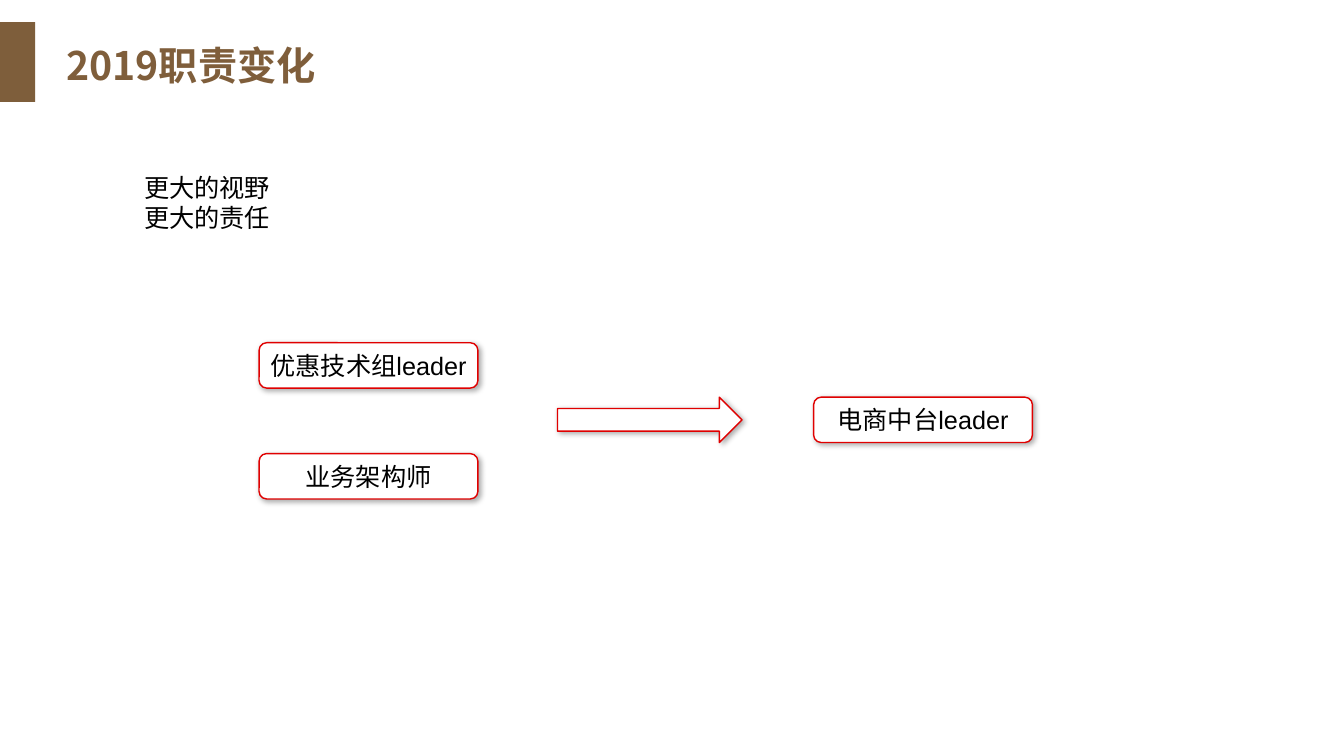
from dataclasses import dataclass

from lxml import etree
from pptx import Presentation
from pptx.dml.color import RGBColor
from pptx.enum.shapes import MSO_SHAPE
from pptx.enum.text import MSO_ANCHOR, MSO_AUTO_SIZE, PP_ALIGN
from pptx.oxml.ns import qn
from pptx.util import Pt

EMU_PER_PX = 9144  # 100 px to the inch
RECTANGLE = MSO_SHAPE.RECTANGLE
ROUNDED = MSO_SHAPE.ROUNDED_RECTANGLE
ARROW = MSO_SHAPE.RIGHT_ARROW
LEFT, CENTER = PP_ALIGN.LEFT, PP_ALIGN.CENTER
TOP, MIDDLE = MSO_ANCHOR.TOP, MSO_ANCHOR.MIDDLE
NO_AUTOFIT = MSO_AUTO_SIZE.NONE

CHINESE_FONT = "Noto Sans CJK SC"
BROWN, TITLE_BROWN = "7E5E3B", "7F5E3B"
RED, WHITE, BLACK = "E00000", "FFFFFF", "000000"
INSET = 5
TITLE_FONT = {"name": CHINESE_FONT, "size": Pt(28), "bold": True}
TEXT_FONT = {"name": "Arial", "size": Pt(18), "bold": False}

ROLE_WIDTH, ROLE_HEIGHT = 217, 45
OLD_LEFT, NEW_LEFT = 257, 807
OLD_TOP, NEW_TOP, OLD_STEP = 340, 394, 110


@dataclass
class Node:
    kind: int
    left: int
    top: int
    width: int = ROLE_WIDTH
    height: int = ROLE_HEIGHT
    text: str = ""


OLD_ROLES = ("优惠技术组leader", "业务架构师")
NODES = [
    *(Node(ROUNDED, OLD_LEFT, OLD_TOP + index * OLD_STEP, text=role)
      for index, role in enumerate(OLD_ROLES)),
    Node(ROUNDED, NEW_LEFT, NEW_TOP, text="电商中台leader"),
    Node(ARROW, 553, NEW_TOP, width=183),
]


def px(length: int) -> int:
    return length * EMU_PER_PX


def color(value: str) -> RGBColor:
    return RGBColor.from_string(value)


def set_values(target, values: dict) -> None:
    for name, value in values.items():
        setattr(target, name, value)


def place(shape, left: int, top: int, width: int, height: int) -> None:
    set_values(shape, {"left": px(left), "top": px(top),
                       "width": px(width), "height": px(height)})


def write_text(shape, lines: list[str], font: dict, font_color: str,
               align: int, anchor: int, wrap: bool = True) -> None:
    frame = shape.text_frame
    frame.text = "\n".join(lines)
    margins = {f"margin_{side}": px(INSET) for side in ("left", "top", "right", "bottom")}
    set_values(frame, {**margins, "auto_size": NO_AUTOFIT,
                       "vertical_anchor": anchor, "word_wrap": wrap})
    for para in frame.paragraphs:
        set_values(para, {"alignment": align, "space_before": Pt(0)})
        for span in para.runs:
            set_values(span.font, font)
            span.font.color.rgb = color(font_color)
            east_asian = etree.SubElement(span.font._element, qn("a:ea"))
            east_asian.set("typeface", CHINESE_FONT)


def remove_bullet(para) -> None:
    properties = para._p.get_or_add_pPr()
    properties.set("marL", "0")
    properties.set("indent", "0")
    etree.SubElement(properties, qn("a:buNone"))


def add_shadow(shape) -> None:
    shape.shadow.inherit = False
    effects = shape._element.spPr.find(qn("a:effectLst"))
    shadow = etree.SubElement(effects, qn("a:outerShdw"), blurRad=str(Pt(4)),
                              dist=str(Pt(2)), dir="2700000", rotWithShape="0")
    black = etree.SubElement(shadow, qn("a:srgbClr"), val=BLACK)
    etree.SubElement(black, qn("a:alpha"), val="33000")


def add_filled(slide, node: Node, fill: str):
    shape = slide.shapes.add_shape(node.kind, 0, 0, 0, 0)
    place(shape, node.left, node.top, node.width, node.height)
    shape.fill.solid()
    shape.fill.fore_color.rgb = color(fill)
    return shape


def add_node(slide, node: Node) -> None:
    shape = add_filled(slide, node, WHITE)
    shape.line.color.rgb = color(RED)
    shape.line.width = Pt(1)
    add_shadow(shape)
    if node.text:
        write_text(shape, [node.text], TEXT_FONT, BLACK, CENTER, MIDDLE)


def main() -> None:
    deck = Presentation()
    set_values(deck, {"slide_width": px(1333), "slide_height": px(750)})
    page = deck.slides.add_slide(deck.slide_layouts[1])

    title = page.shapes.title
    place(title, 61, 36, 1262, 57)
    write_text(title, ["2019职责变化"], TITLE_FONT, TITLE_BROWN, LEFT, MIDDLE)

    body = page.placeholders[1]
    place(body, 138, 165, 136, 71)
    write_text(body, ["更大的视野", "更大的责任"], TEXT_FONT, BLACK, LEFT, TOP, wrap=False)
    for para in body.text_frame.paragraphs:
        para.line_spacing = Pt(22)
        remove_bullet(para)

    accent = add_filled(page, Node(RECTANGLE, -1, 22, 36, 79), BROWN)
    accent.line.fill.background()
    accent.shadow.inherit = False

    for node in NODES:
        add_node(page, node)
    deck.save("out.pptx")


if __name__ == "__main__":
    main()
